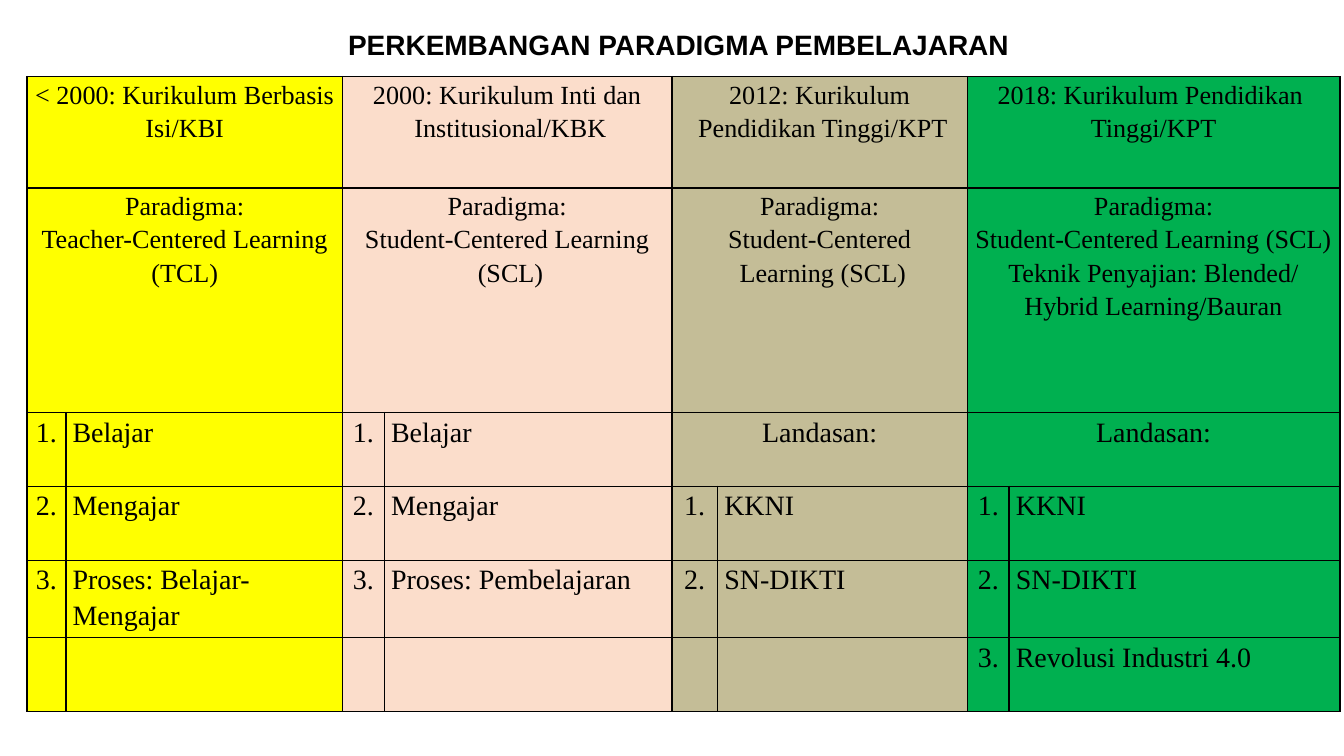
from lxml.etree import SubElement
from pptx import Presentation
from pptx.dml.color import RGBColor
from pptx.enum.text import MSO_ANCHOR, PP_ALIGN
from pptx.oxml.ns import qn
from pptx.util import Inches, Pt

BLACK = RGBColor(0x00, 0x00, 0x00)
YELLOW = RGBColor(0xFF, 0xFF, 0x00)
PEACH = RGBColor(0xFB, 0xDD, 0xCB)
KHAKI = RGBColor(0xC4, 0xBD, 0x97)
GREEN = RGBColor(0x00, 0xB0, 0x50)

COL_WIDTHS = [0.29, 2.06, 0.31, 2.14, 0.34, 1.86, 0.31, 2.46]
ROW_HEIGHTS = [0.83, 1.67, 0.55, 0.55, 0.57, 0.55]
FIRST_LIST_ROW = 2

# Each curriculum: fill, heading, paradigm, list heading, list items
CURRICULA = [
    (YELLOW, ["< 2000: Kurikulum Berbasis Isi/KBI"],
     ["Paradigma:", "Teacher-Centered Learning (TCL)"],
     None, ["Belajar", "Mengajar", "Proses: Belajar-Mengajar"]),
    (PEACH, ["2000: Kurikulum Inti dan", " Institusional/KBK"],
     ["Paradigma:", "Student-Centered Learning", " (SCL)"],
     None, ["Belajar", "Mengajar", "Proses: Pembelajaran"]),
    (KHAKI, ["2012: Kurikulum", " Pendidikan Tinggi/KPT"],
     ["Paradigma:", "Student-Centered", " Learning (SCL)"],
     "Landasan:", ["KKNI", "SN-DIKTI"]),
    (GREEN, ["2018: Kurikulum Pendidikan ", "Tinggi/KPT"],
     ["Paradigma:", "Student-Centered Learning (SCL)",
      "Teknik Penyajian: Blended/", "Hybrid Learning/Bauran"],
     "Landasan:", ["KKNI", "SN-DIKTI", "Revolusi Industri 4.0"]),
]


def write(tf, lines, size=15, font="Times New Roman", bold=False,
          align=PP_ALIGN.CENTER, spacing=1.15):
    tf.word_wrap = True
    for i, line in enumerate(lines):
        p = tf.add_paragraph() if i else tf.paragraphs[0]
        p.alignment = align
        p.line_spacing = spacing
        r = p.add_run()
        r.text = line
        r.font.size = Pt(size)
        r.font.name = font
        r.font.bold = bold
        r.font.color.rgb = BLACK


def style_cell(cell, color):
    cell.margin_left = cell.margin_right = Inches(0.05)
    cell.margin_top = cell.margin_bottom = 0
    # Borders come before the fill in the cell properties
    tc_pr = cell._tc.get_or_add_tcPr()
    for side in ("lnL", "lnR", "lnT", "lnB"):
        ln = SubElement(tc_pr, qn(f"a:{side}"), w=str(Pt(1)))
        fill = SubElement(ln, qn("a:solidFill"))
        SubElement(fill, qn("a:srgbClr"), val=str(BLACK))
    cell.fill.solid()
    cell.fill.fore_color.rgb = color


def add_title(slide, left, top, width, height):
    box = slide.shapes.add_textbox(Inches(left), Inches(top),
                                   Inches(width), Inches(height))
    tf = box.text_frame
    tf.vertical_anchor = MSO_ANCHOR.MIDDLE
    tf.margin_top = tf.margin_bottom = Inches(0.04)
    write(tf, ["PERKEMBANGAN PARADIGMA PEMBELAJARAN"],
          font="Arial", bold=True, spacing=1)


def fill_curriculum(table, col, color, heading, paradigm, list_heading, items):
    for row in range(len(ROW_HEIGHTS)):
        for c in (col, col + 1):
            style_cell(table.cell(row, c), color)

    def write_across(row, lines, size):
        cell = table.cell(row, col)
        cell.merge(table.cell(row, col + 1))
        write(cell.text_frame, lines, size=size)

    write_across(0, heading, 14)
    write_across(1, paradigm, 14)

    # Numbered list, below its heading if there is one
    start = FIRST_LIST_ROW
    if list_heading:
        write_across(start, [list_heading], 15)
        start += 1
    for n, item in enumerate(items):
        write(table.cell(start + n, col).text_frame, [f"{n + 1}."])
        write(table.cell(start + n, col + 1).text_frame, [item],
              align=PP_ALIGN.LEFT)


def add_curriculum_table(slide, left, top, width, height):
    table = slide.shapes.add_table(
        len(ROW_HEIGHTS), len(COL_WIDTHS), Inches(left), Inches(top),
        Inches(width), Inches(height)).table
    table.first_row = table.horz_banding = False
    for column, w in zip(table.columns, COL_WIDTHS):
        column.width = Inches(w)
    for row, h in zip(table.rows, ROW_HEIGHTS):
        row.height = Inches(h)
    for i, curriculum in enumerate(CURRICULA):
        fill_curriculum(table, 2 * i, *curriculum)


def main():
    prs = Presentation()
    prs.slide_width = Inches(10)
    prs.slide_height = prs.slide_width * 9 // 16  # widescreen
    slide = prs.slides.add_slide(prs.slide_layouts[6])
    add_title(slide, 0.35, 0.16, 9.4, 0.34)
    add_curriculum_table(slide, 0.2, 0.57, sum(COL_WIDTHS), sum(ROW_HEIGHTS))
    prs.save("out.pptx")


if __name__ == "__main__":
    main()
